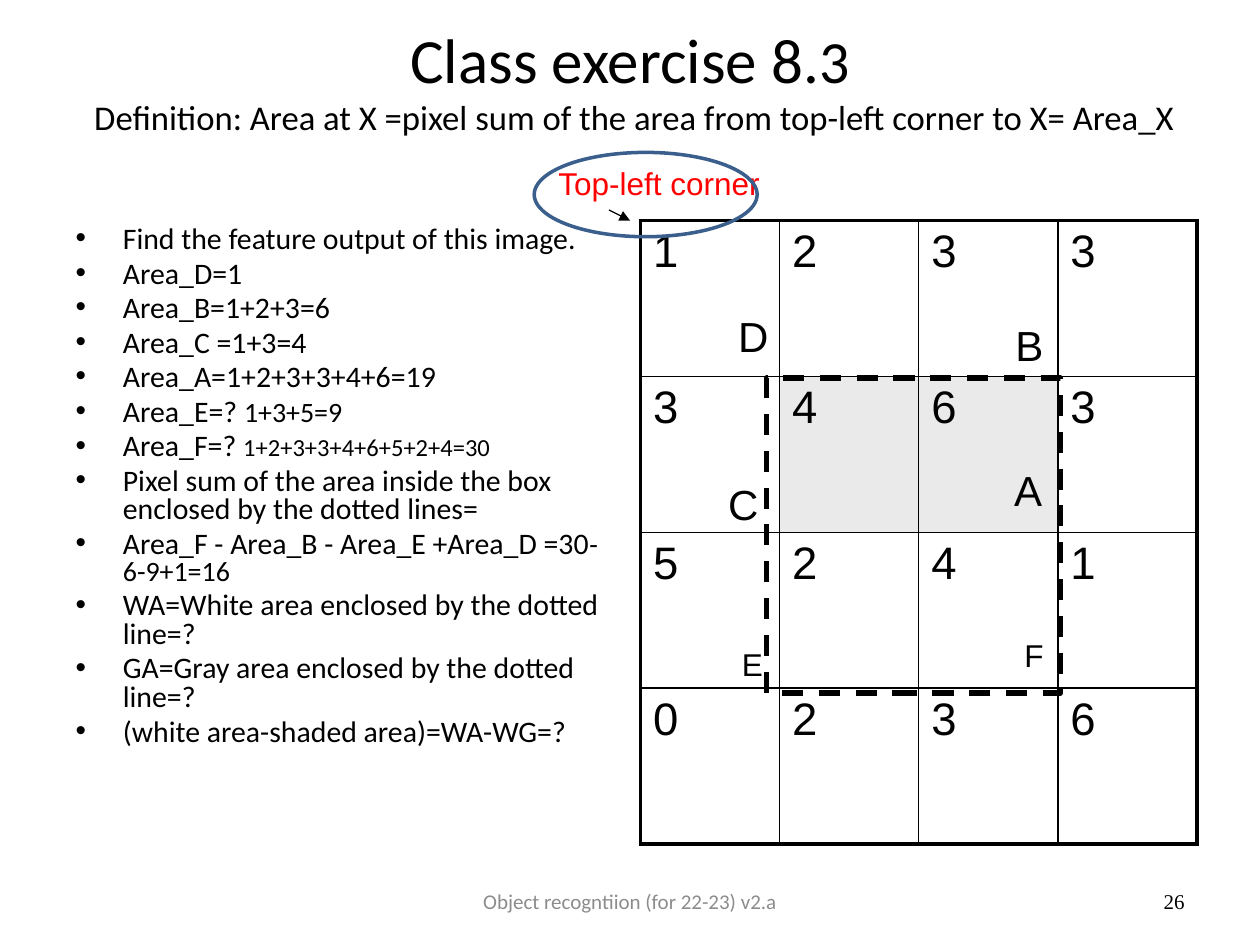
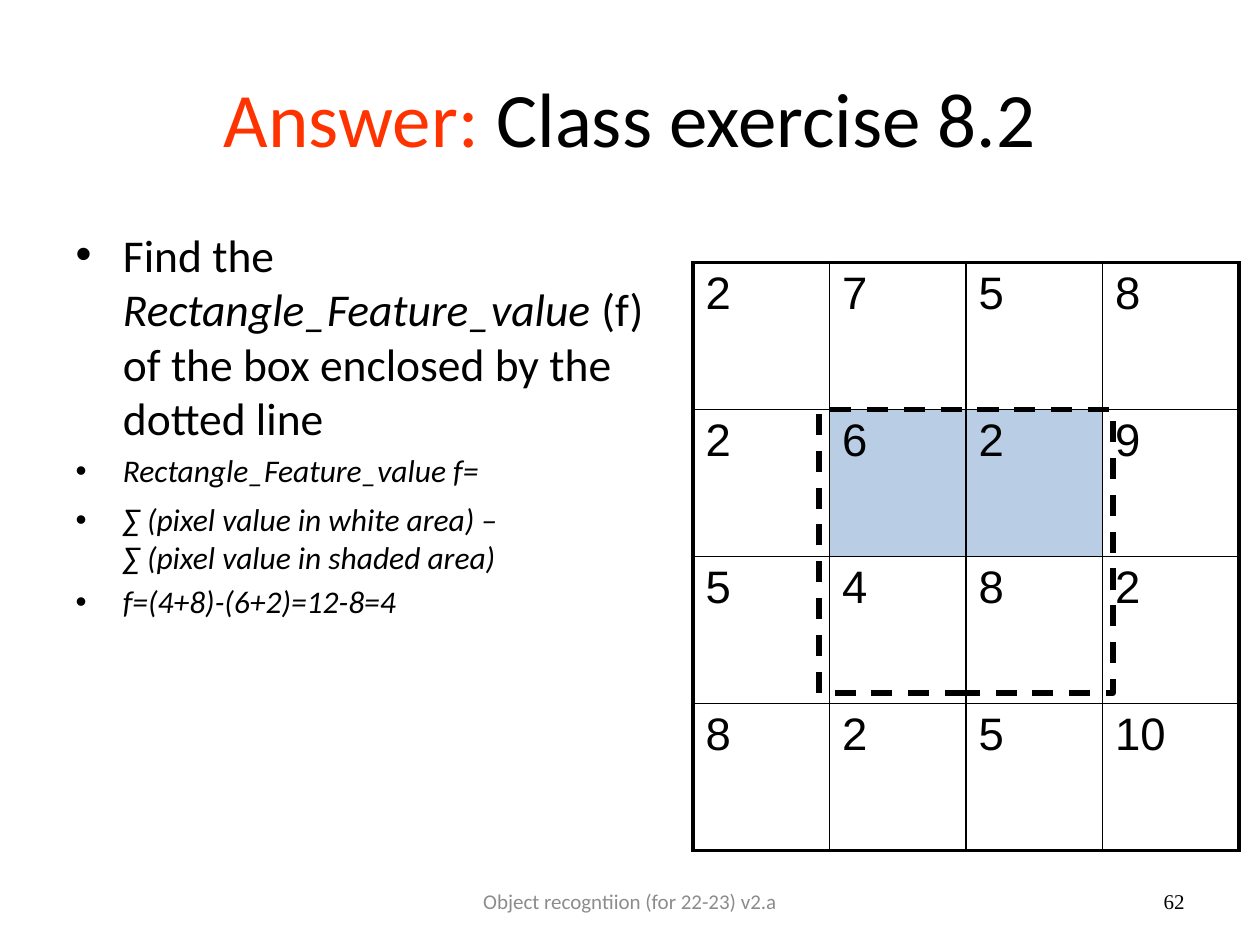
from lxml.etree import SubElement
from pptx import Presentation
from pptx.dml.color import RGBColor
from pptx.enum.dml import MSO_LINE
from pptx.enum.shapes import MSO_CONNECTOR, MSO_SHAPE
from pptx.enum.text import MSO_ANCHOR, MSO_AUTO_SIZE, PP_ALIGN
from pptx.oxml.ns import qn
from pptx.util import Pt

BLACK = RGBColor(0x00, 0x00, 0x00)
RED = RGBColor(0xFF, 0x00, 0x00)
ORANGE = RGBColor(0xFF, 0x33, 0x00)
FOOTER_GRAY = RGBColor(0x8C, 0x8C, 0x8C)
CELL_GRAY = RGBColor(0xEA, 0xEA, 0xEA)
CELL_BLUE = RGBColor(0xB9, 0xCD, 0xE5)
OVAL_BLUE = RGBColor(0x3A, 0x5F, 0x8C)

GRID_SIZE = 4
SHADED_CELLS = [(1, 1), (1, 2)]
FOOTER_TEXT = "Object recogntiion (for 22-23) v2.a"


def points(*values):
    return [Pt(value) for value in values]


def add_runs(paragraph, text, size, color=BLACK, font="Calibri", italic=False):
    for index, part in enumerate(text.split("\n")):
        if index:
            paragraph.add_line_break()
        if part:
            run = paragraph.add_run()
            run.text = part
            run.font.size = Pt(size)
            run.font.name = font
            run.font.italic = italic
            run.font.color.rgb = color


def place(shape, box):
    shape.left, shape.top, shape.width, shape.height = points(*box)


def set_title(slide, box, runs):
    title = slide.shapes.title
    place(title, box)
    frame = title.text_frame
    frame.auto_size = MSO_AUTO_SIZE.NONE
    frame.vertical_anchor = MSO_ANCHOR.MIDDLE
    paragraph = frame.paragraphs[0]
    paragraph.alignment = PP_ALIGN.CENTER
    for text, size, color in runs:
        add_runs(paragraph, text, size, color)


def set_bullets(slide, box, items, line_spacing=1.0):
    body = slide.placeholders[1]
    place(body, box)
    frame = body.text_frame
    frame.auto_size = MSO_AUTO_SIZE.NONE
    for index, runs in enumerate(items):
        paragraph = frame.add_paragraph() if index else frame.paragraphs[0]
        paragraph.line_spacing = line_spacing
        if not index:
            paragraph.space_before = Pt(0)
        for text, size, italic in runs:
            add_runs(paragraph, text, size, italic=italic)


def add_label(slide, box, text, size, color=BLACK, font="Arial",
              align=PP_ALIGN.LEFT, anchor=MSO_ANCHOR.TOP, wrap=False):
    frame = slide.shapes.add_textbox(*points(*box)).text_frame
    frame.word_wrap = wrap
    frame.vertical_anchor = anchor
    paragraph = frame.paragraphs[0]
    paragraph.alignment = align
    add_runs(paragraph, text, size, color, font)


def add_footer(slide, number):
    add_label(slide, (246, 500.4, 228, 28.8), FOOTER_TEXT, 12, FOOTER_GRAY,
              "Calibri", PP_ALIGN.CENTER, MSO_ANCHOR.MIDDLE, True)
    add_label(slide, (516, 500.4, 168, 28.8), str(number), 12, BLACK,
              "Times New Roman", PP_ALIGN.RIGHT, MSO_ANCHOR.MIDDLE, True)


def set_borders(cell, row, column):
    last = GRID_SIZE - 1
    outer_sides = {"lnL": column == 0, "lnR": column == last,
                   "lnT": row == 0, "lnB": row == last}
    properties = cell._tc.get_or_add_tcPr()
    for side, is_outer in outer_sides.items():
        line = SubElement(properties, qn(f"a:{side}"), w=str(Pt(2.25 if is_outer else 1)))
        fill = SubElement(line, qn("a:solidFill"))
        SubElement(fill, qn("a:srgbClr"), val=str(BLACK))


def add_pixel_grid(slide, box, values, shade):
    table = slide.shapes.add_table(GRID_SIZE, GRID_SIZE, *points(*box)).table
    table.first_row = False
    table.horz_banding = False
    for column in table.columns:
        column.width = Pt(box[2] / GRID_SIZE)
    for row in table.rows:
        row.height = Pt(box[3] / GRID_SIZE)
    for row, row_values in enumerate(values):
        for column, value in enumerate(row_values):
            cell = table.cell(row, column)
            set_borders(cell, row, column)
            if (row, column) in SHADED_CELLS:
                cell.fill.solid()
                cell.fill.fore_color.rgb = shade
            else:
                cell.fill.background()
            add_runs(cell.text_frame.paragraphs[0], str(value), 26, font="Arial")


def add_outline(slide, kind, box, color, width, dash=None):
    shape = slide.shapes.add_shape(kind, *points(*box))
    shape.shadow.inherit = False
    shape.fill.background()
    shape.line.color.rgb = color
    shape.line.width = Pt(width)
    if dash:
        shape.line.dash_style = dash


def add_dashed_box(slide, box):
    add_outline(slide, MSO_SHAPE.RECTANGLE, box, BLACK, 3, MSO_LINE.DASH)


def add_arrow(slide, ends):
    arrow = slide.shapes.add_connector(MSO_CONNECTOR.STRAIGHT, *points(*ends))
    arrow.line.color.rgb = BLACK
    arrow.line.width = Pt(0.75)
    SubElement(arrow.line._get_or_add_ln(), qn("a:tailEnd"), type="triangle")
    SubElement(arrow._element.spPr, qn("a:effectLst"))


def build_area_exercise(slide):
    set_title(slide, (36, 0, 648, 90), [
        ("Class exercise 8.", 36, BLACK),
        ("3\n", 34.2, BLACK),
        (" Definition: Area at X =pixel sum of the area from top-left corner to X= Area_X",
         19.8, BLACK),
    ])
    items = [
        [("Find the feature output of this image.", 17)],
        [("Area_D=1", 17)],
        [("Area_B=1+2+3=6", 17)],
        [("Area_C =1+3=4", 17)],
        [("Area_A=1+2+3+3+4+6=19", 17)],
        [("Area_E=? ", 17), ("1+3+5=9", 16)],
        [("Area_F=? ", 17), ("1+2+3+3+4+6+5+2+4=30", 14)],
        [("Pixel sum of the area inside the box enclosed by the dotted lines=", 17)],
        [("Area_F - Area_B - Area_E +Area_D =30", 17), ("-6-9+1=16", 16)],
        [("WA=White area enclosed by the dotted line=?", 17)],
        [("GA=Gray area enclosed by the dotted line=?", 17)],
        [("(white area-shaded area)=WA-WG=?", 17)],
    ]
    set_bullets(slide, (36, 126, 318, 356.4),
                [[(text, size, False) for text, size in runs] for runs in items], 0.8)
    add_pixel_grid(slide, (366, 126, 318, 356.4),
                   [(1, 2, 3, 3), (3, 4, 6, 3), (5, 2, 4, 1), (0, 2, 3, 6)], CELL_GRAY)
    add_footer(slide, 26)
    add_dashed_box(slide, (438, 216, 168, 180))
    corner_labels = [
        ("D", 414.7, 174.2, 37.4, 24), ("C", 409, 270, 31.7, 24),
        ("A", 572.4, 262.1, 31, 24), ("B", 573.1, 179.3, 30.2, 24),
        ("E", 416.9, 365, 26.6, 18), ("F", 578.2, 360, 25.2, 18),
    ]
    for text, left, top, width, size in corner_labels:
        add_label(slide, (left, top, width, size * 1.5), text, size)
    add_label(slide, (312, 90, 131.8, 28.8), "Top-left corner", 18, RED)
    add_arrow(slide, (348, 120, 360, 126))
    add_outline(slide, MSO_SHAPE.OVAL, (305.3, 87.1, 127.4, 48.2), OVAL_BLUE, 2)


def build_feature_answer(slide):
    set_title(slide, (36, 21.6, 648, 90), [
        ("Answer: ", 44, ORANGE), ("Class exercise 8.2", 44, BLACK)])
    set_bullets(slide, (36, 126, 342, 356.4), [
        [("Find the ", 26, False), ("Rectangle_Feature_value", 26, True),
         (" (f) of the box enclosed by the dotted line", 26, False)],
        [("Rectangle_Feature_value f=", 18, True)],
        [("∑ (pixel value in white area) – \n∑ (pixel value in shaded area)", 18, True)],
        [("f=(4+8)-(6+2)=12-8=4", 18, True)],
    ])
    add_pixel_grid(slide, (396, 150, 312, 336),
                   [(2, 7, 5, 8), (2, 6, 2, 9), (5, 4, 8, 2), (8, 2, 5, 10)], CELL_BLUE)
    add_footer(slide, 62)
    add_dashed_box(slide, (468, 234, 168, 162))


def main():
    presentation = Presentation()
    presentation.slide_width, presentation.slide_height = points(720, 540)
    for build in (build_area_exercise, build_feature_answer):
        build(presentation.slides.add_slide(presentation.slide_layouts[1]))
    presentation.save("out.pptx")


if __name__ == "__main__":
    main()
